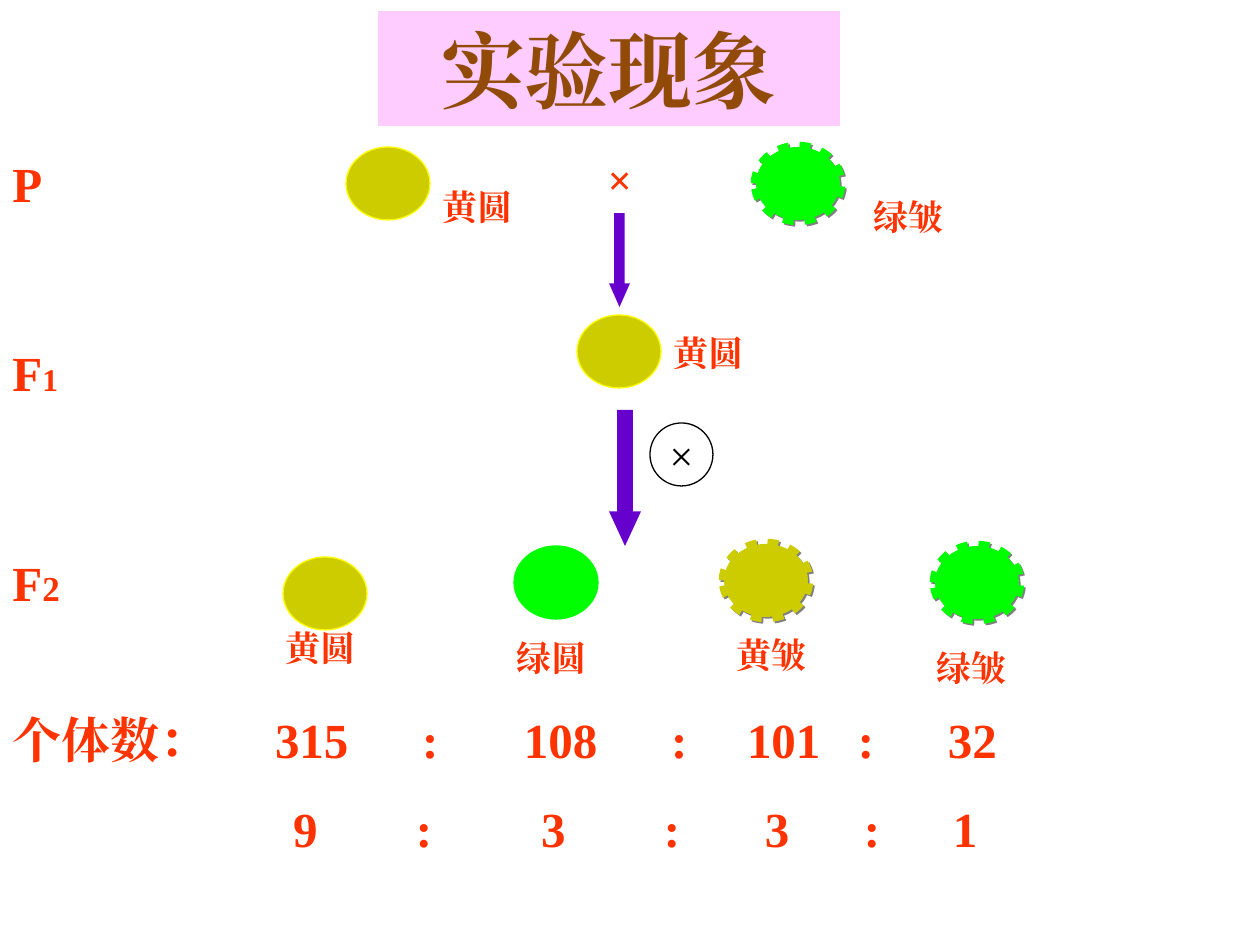
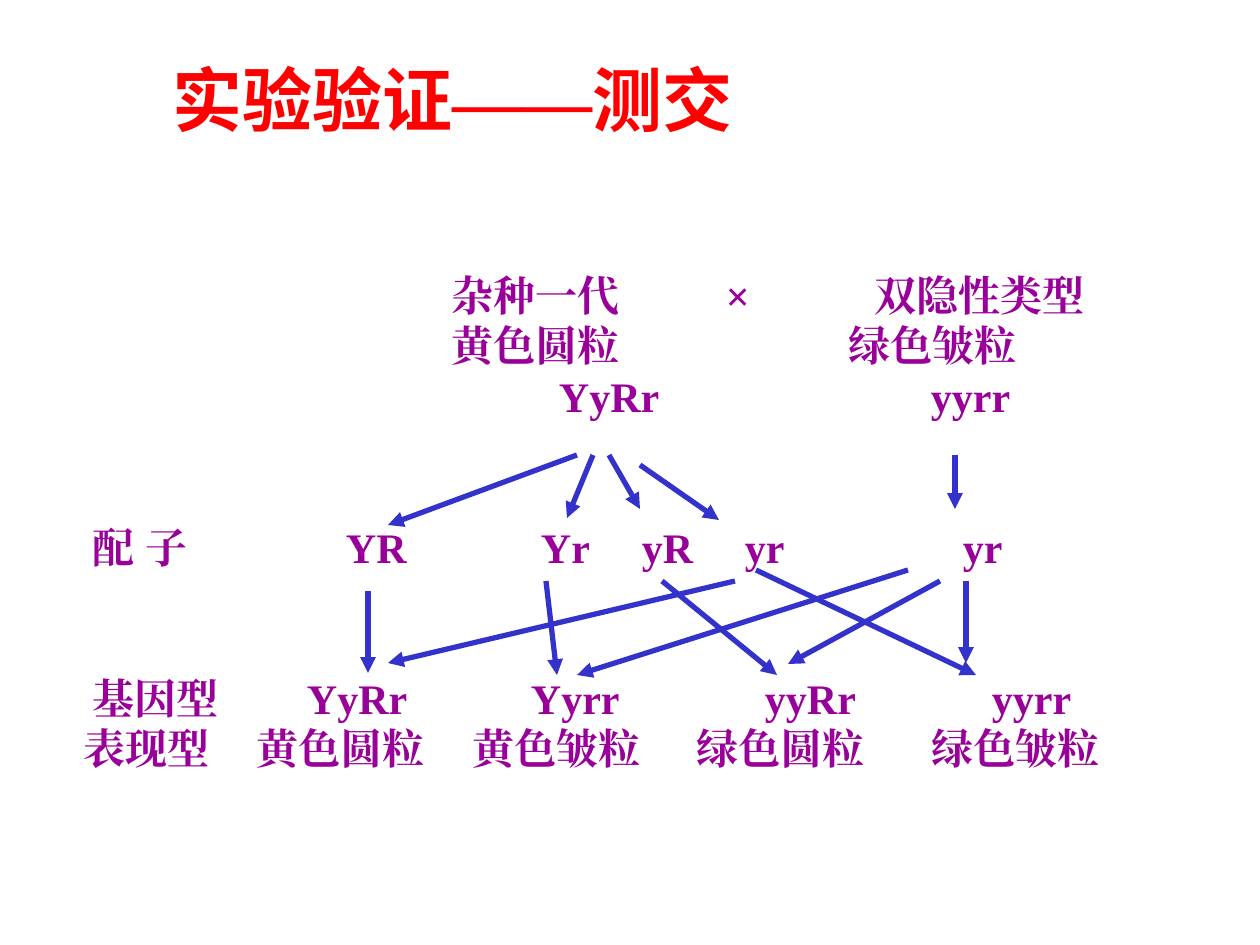
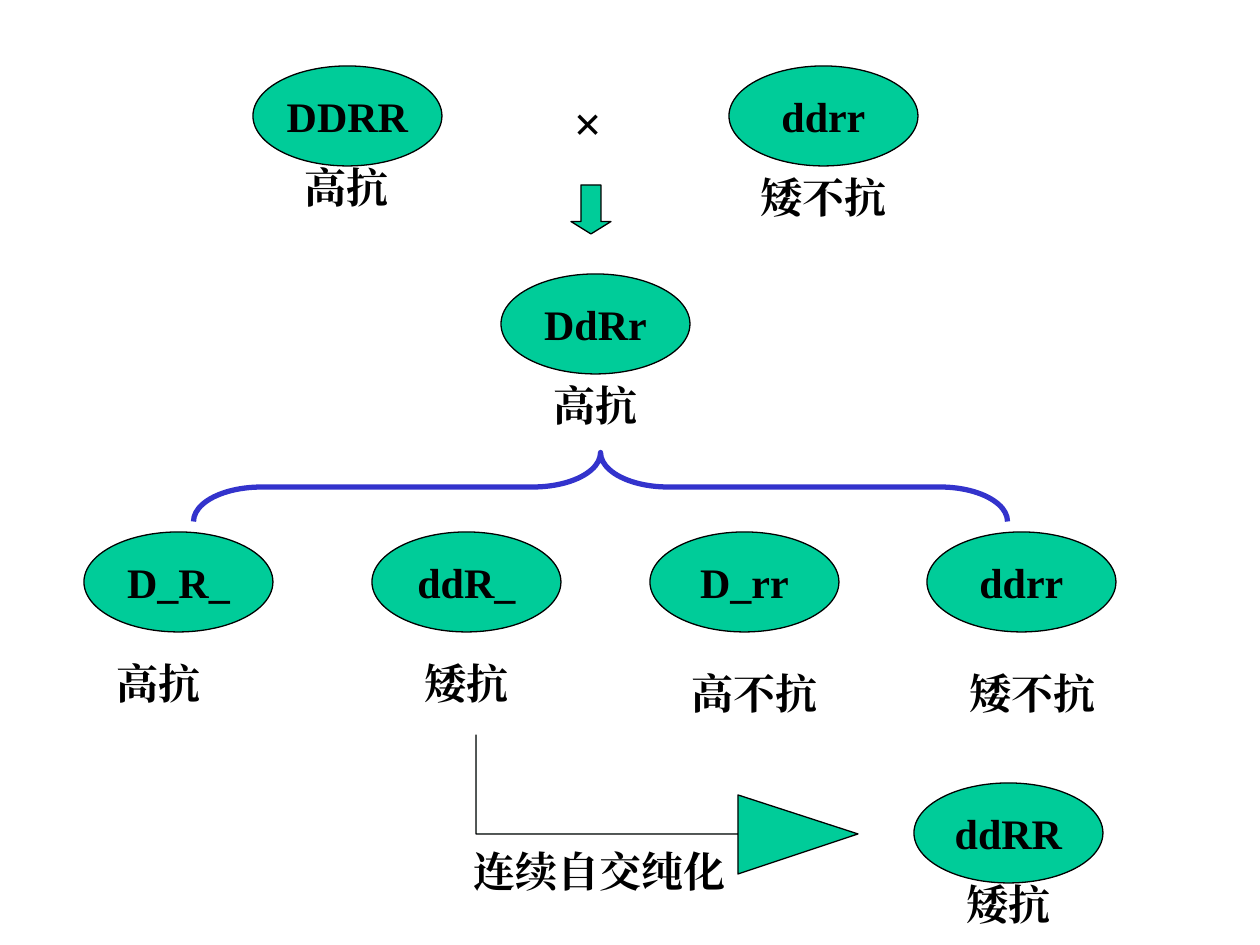
import pptx
import pptx.util
import pptx.dml.color
import pptx.enum.dml
import pptx.enum.shapes
import pptx.enum.text
import pptx.oxml.ns
from lxml import etree

RGBColor = pptx.dml.color.RGBColor
SHAPE = pptx.enum.shapes.MSO_SHAPE
ALIGN = pptx.enum.text.PP_ALIGN
ANCHOR = pptx.enum.text.MSO_ANCHOR
Pt = pptx.util.Pt
qn = pptx.oxml.ns.qn

# Shared look
PX = 914400 / 126
SERIF, SANS = "Times New Roman", "Noto Sans CJK JP"
BLACK = RGBColor(0x00, 0x00, 0x00)
ORANGE = RGBColor(0xFF, 0x33, 0x00)
RED = RGBColor(0xFF, 0x00, 0x00)
BROWN = RGBColor(0x92, 0x4A, 0x08)
PINK = RGBColor(0xFF, 0xCC, 0xFF)
VIOLET = RGBColor(0x66, 0x00, 0xCC)
PURPLE = RGBColor(0x99, 0x00, 0x99)
BLUE = RGBColor(0x33, 0x33, 0xCC)
TEAL = RGBColor(0x00, 0xCC, 0x99)
GREEN = RGBColor(0x00, 0xFF, 0x00)
OLIVE = RGBColor(0xCC, 0xCC, 0x00)
YELLOW = RGBColor(0xFF, 0xFF, 0x00)

# Slide 1: first and second generation of peas
PEA_SIZE = (84, 73)
ROUND_PEAS = [  # left, top, fill, line
    (346, 147, OLIVE, YELLOW), (577, 315, OLIVE, YELLOW),
    (283, 557, OLIVE, YELLOW), (514, 546, GREEN, GREEN),
]
WRINKLED_PEAS = [(756, 147, GREEN), (724, 544, OLIVE), (935, 546, GREEN)]
PEA_LABELS = [  # left, top, text
    (430, 179, "黄圆"), (861, 189, "绿皱"), (661, 325, "黄圆"),
    (273, 620, "黄圆"), (504, 630, "绿圆"), (724, 627, "黄皱"),
    (924, 640, "绿皱"),
]
GENERATIONS = [  # top, letter, index, index size
    (147, "P", "", 18), (336, "F", "1", 18), (546, "F", "2", 20),
]
PEA_ARROWS = [(609, 213, 21, 94, 1.13), (609, 410, 32, 136, 1.08)]
COUNT_ROWS = [  # space before, then (left, text) cells
    (0, [(13, "个体数："), (275, "315"), (422, ":"), (524, "108"),
         (671, ":"), (747, "101"), (858, ":"), (948, "32")]),
    (17.5, [(293, "9"), (416, ":"), (541, "3"), (664, ":"),
            (765, "3"), (864, ":"), (953, "1")]),
]

# Slide 2: test cross
CROSS_ROWS = [
    (0, [(452, "杂种一代"), (726, "×"), (875, "双隐性类型")]),
    (0, [(452, "黄色圆粒"), (849, "绿色皱粒")]),
    (0, [(559, "YyRr"), (931, "yyrr")]),
    (57.6, [(93, "配 子"), (346, "YR"), (541, "Yr"), (642, "yR"),
            (745, "yr"), (963, "yr")]),
    (57.6, [(93, "基因型"), (307, "YyRr"), (531, "Yyrr"), (765, "yyRr"),
            (992, "yyrr")]),
    (0, [(84, "表现型"), (257, "黄色圆粒"), (473, "黄色皱粒"),
         (697, "绿色圆粒"), (932, "绿色皱粒")]),
]
GAMETE_ARROWS = [  # from x, from y, to x, to y
    (577, 455, 388, 525), (593, 455, 567, 518), (609, 455, 640, 509),
    (640, 465, 719, 520), (955, 455, 955, 509), (368, 591, 368, 673),
    (546, 581, 557, 675), (662, 581, 777, 675), (756, 570, 976, 675),
    (966, 581, 966, 663), (940, 581, 788, 664), (908, 570, 577, 675),
    (735, 581, 388, 663),
]

# Slide 3: breeding a short resistant line
GENOTYPE_SIZE = (189, 100)
GENOTYPES = [  # left, top, text
    (253, 66, "DDRR"), (729, 66, "ddrr"), (501, 274, "DdRr"),
    (84, 532, "D_R_"), (372, 532, "ddR_"), (650, 532, "D_rr"),
    (927, 532, "ddrr"), (914, 783, "ddRR"),
]
TRAITS = [  # left, top, width, text
    (292, 155, 139, "高抗"), (748, 165, 159, "矮不抗"),
    (541, 373, 118, "高抗"), (104, 651, 139, "高抗"),
    (412, 651, 118, "矮抗"), (679, 661, 169, "高不抗"),
    (957, 661, 179, "矮不抗"), (954, 872, 118, "矮抗"),
    (461, 839, 297, "连续自交纯化"),
]
SELFING_ARROW = [(858, 834), (738, 795), (738, 834), (476, 834), (476, 735),
                 (476, 834), (738, 834), (738, 874)]


def emu(*lengths):
    return [pptx.util.Emu(round(length * PX)) for length in lengths]


def set_font(font, rpr, size, color, name=SERIF, bold=True):
    font.size, font.bold, font.name = Pt(size), bold, name
    font.color.rgb = color
    etree.SubElement(rpr, qn("a:ea")).set("typeface", name)


def style(para, size, color, align=ALIGN.LEFT, bold=True):
    para.alignment = align
    font = para.font
    set_font(font, para._p.pPr.find(qn("a:defRPr")), size, color, bold=bold)


def add_label(page, left, top, width, height, text, size, color,
              align=ALIGN.LEFT):
    box = page.shapes.add_textbox(*emu(left, top, width, height))
    box.text_frame.word_wrap = True
    para = box.text_frame.paragraphs[0]
    para.text = text
    style(para, size, color, align)
    return para


def add_rows(page, top, width, height, rows, size, color, line_points=None):
    """Rows of cells, each cell held by a left tab stop."""
    box = page.shapes.add_textbox(*emu(0, top, width, height))
    frame = box.text_frame
    frame.word_wrap = True
    frame.margin_left = 0
    for index, (space, cells) in enumerate(rows):
        para = frame.add_paragraph() if index else frame.paragraphs[0]
        para.add_run().text = "".join("\t" + text for _, text in cells)
        tabs = etree.SubElement(para._p.get_or_add_pPr(), qn("a:tabLst"))
        for left, _ in cells:
            tab = etree.SubElement(tabs, qn("a:tab"))
            tab.set("pos", str(emu(left)[0]))
            tab.set("algn", "l")
        style(para, size, color)
        if space:
            para.space_before = Pt(space)
        if line_points:
            para.line_spacing = Pt(line_points)


def paint(shape, fill=None, line=None, weight=0.75):
    shape.shadow.inherit = False
    if fill is None:
        shape.fill.background()
    else:
        shape.fill.solid()
        shape.fill.fore_color.rgb = fill
    if line is None:
        shape.line.fill.background()
    else:
        shape.line.color.rgb = line
        shape.line.width = Pt(weight)


def add_shape(page, kind, left, top, width, height, fill=None, line=None,
              weight=0.75):
    shape = page.shapes.add_shape(kind, *emu(left, top, width, height))
    paint(shape, fill, line, weight)
    return shape


def add_oval(page, left, top, size, text, fill, bold=True):
    oval = add_shape(page, SHAPE.OVAL, left, top, *size, fill, BLACK)
    frame = oval.text_frame
    frame.word_wrap = False
    frame.vertical_anchor = ANCHOR.MIDDLE
    frame.paragraphs[0].text = text
    style(frame.paragraphs[0], 24, BLACK, ALIGN.CENTER, bold)


def add_down_arrow(page, left, top, width, height, head, fill, line=None):
    arrow = add_shape(page, SHAPE.DOWN_ARROW, left, top, width, height,
                      fill, line)
    arrow.adjustments[0], arrow.adjustments[1] = 0.5, head


def add_wrinkled_pea(page, left, top, color):
    pea = add_shape(page, SHAPE.OVAL, left, top, *PEA_SIZE, color, color, 6)
    pea.line.dash_style = pptx.enum.dml.MSO_LINE.ROUND_DOT
    effects = pea._element.spPr.find(qn("a:effectLst"))
    shadow = etree.SubElement(effects, qn("a:outerShdw"))
    shadow.set("dist", str(Pt(1.4)))
    shadow.set("dir", "2700000")
    shadow.set("algn", "ctr")
    shadow.set("rotWithShape", "0")
    etree.SubElement(shadow, qn("a:srgbClr")).set("val", "808080")


def add_arrow(page, *ends):
    line = page.shapes.add_connector(
        pptx.enum.shapes.MSO_CONNECTOR.STRAIGHT, *emu(*ends))
    line.line.color.rgb = BLUE
    line.line.width = Pt(3)
    tail = etree.SubElement(line.line._get_or_add_ln(), qn("a:tailEnd"))
    tail.set("type", "triangle")
    etree.SubElement(line._element.spPr, qn("a:effectLst"))


def add_title(page, left, top, width, height, spans, size, color, align):
    title = page.shapes.title
    title.left, title.top, title.width, title.height = emu(
        left, top, width, height)
    frame = title.text_frame
    frame.word_wrap = True
    frame.auto_size = pptx.enum.text.MSO_AUTO_SIZE.NONE
    frame.vertical_anchor = ANCHOR.MIDDLE
    para = frame.paragraphs[0]
    para.alignment = align
    for text, name in spans:
        span = para.add_run()
        span.text = text
        set_font(span.font, span._r.get_or_add_rPr(), size, color, name)
    return title


def build_peas(page):
    title = add_title(page, 378, 11, 462, 115, [("实验现象", SERIF)],
                      48, BROWN, ALIGN.CENTER)
    title.fill.solid()
    title.fill.fore_color.rgb = PINK
    for left, top, fill, line in ROUND_PEAS:
        add_shape(page, SHAPE.OVAL, left, top, *PEA_SIZE, fill, line)
    for pea in WRINKLED_PEAS:
        add_wrinkled_pea(page, *pea)
    for left, top, text in PEA_LABELS:
        add_label(page, left, top, 120, 55, text, 20, ORANGE)
    add_label(page, 494, 147, 252, 63, "×", 24, ORANGE, ALIGN.CENTER)
    for top, letter, number, number_size in GENERATIONS:
        para = add_label(page, 0, top, 230, 72, letter, 28, ORANGE)
        if number:
            span = para.add_run()
            span.text = number
            span.font.size = Pt(number_size)
    add_rows(page, 703, 1166, 161, COUNT_ROWS, 28, ORANGE)
    add_oval(page, 650, 423, (63, 63), "×", None, bold=False)
    for arrow in PEA_ARROWS:
        add_down_arrow(page, *arrow, VIOLET)


def build_test_cross(page):
    add_title(page, 160, 50, 765, 97,
              [("实验验证", SANS), ("——", SERIF), ("测交", SANS)],
              40, RED, ALIGN.LEFT)
    add_rows(page, 263, 1200, 520, CROSS_ROWS, 24, PURPLE, 28.8)
    for ends in GAMETE_ARROWS:
        add_arrow(page, *ends)


def build_breeding(page):
    for left, top, text in GENOTYPES:
        add_oval(page, left, top, GENOTYPE_SIZE, text, TEAL)
    for left, top, width, text in TRAITS:
        add_label(page, left, top, width, 63, text, 24, BLACK)
    add_label(page, 530, 86, 116, 72, "×", 28, BLACK, ALIGN.CENTER)
    add_down_arrow(page, 571, 185, 40, 49, 0.31, TEAL, BLACK)
    brace = add_shape(page, SHAPE.LEFT_BRACE, 566, 80, 69, 814, None, BLUE, 3)
    brace.rotation = 90
    brace.adjustments[0] = 0.98
    outline = page.shapes.build_freeform(*SELFING_ARROW[0], scale=PX)
    outline.add_line_segments(SELFING_ARROW[1:], close=True)
    paint(outline.convert_to_shape(), TEAL, BLACK)


def main():
    deck = pptx.Presentation()
    deck.slide_width, deck.slide_height = emu(1260, 945)
    title_only, blank = deck.slide_layouts[5], deck.slide_layouts[6]
    build_peas(deck.slides.add_slide(title_only))
    build_test_cross(deck.slides.add_slide(title_only))
    build_breeding(deck.slides.add_slide(blank))
    deck.save("out.pptx")


if __name__ == "__main__":
    main()
